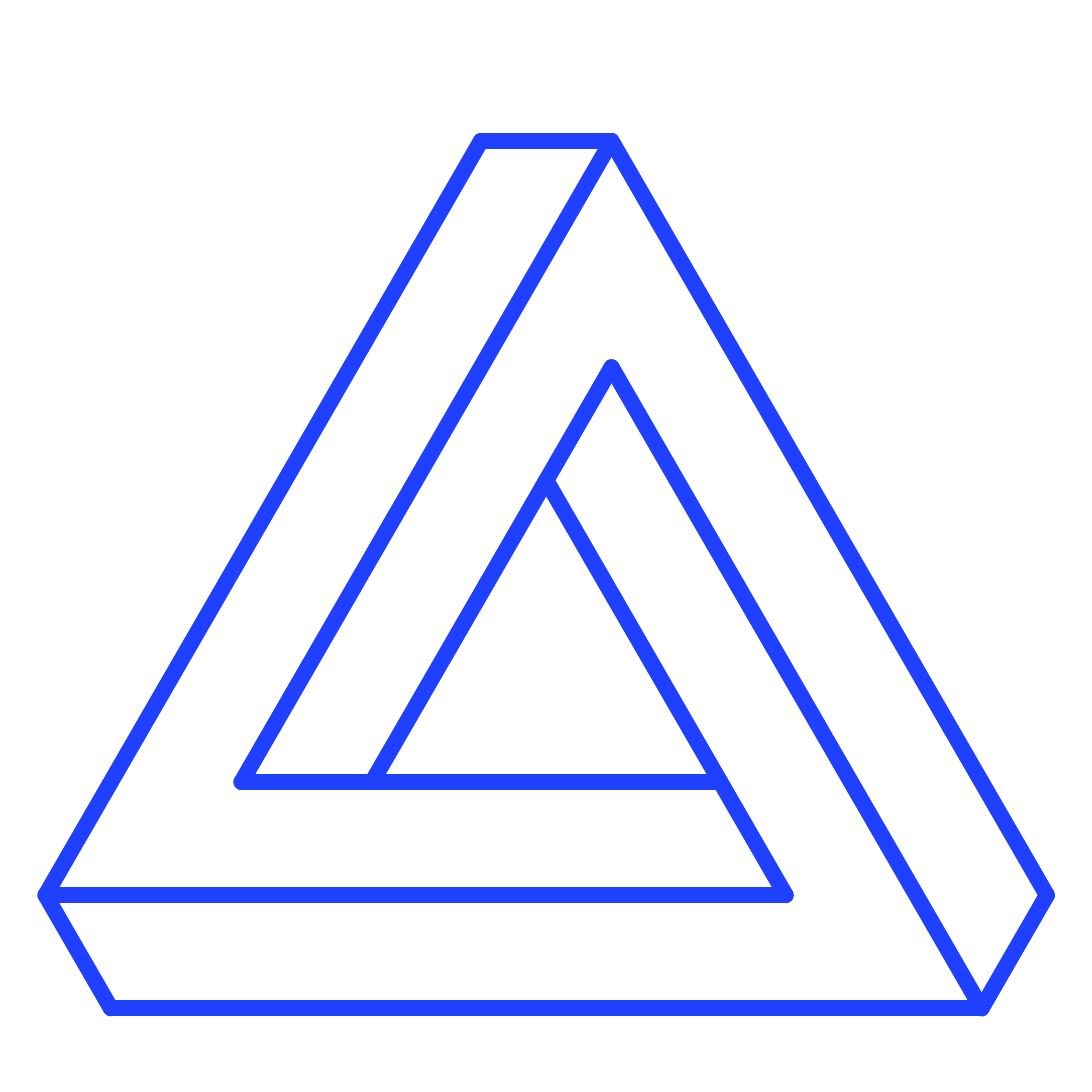
"""Draw an impossible triangle whose corners lie on a triangular lattice."""
from dataclasses import dataclass
from math import sqrt

from lxml.etree import SubElement
from pptx import Presentation
from pptx.dml.color import RGBColor
from pptx.enum.shapes import MSO_CONNECTOR
from pptx.oxml.ns import qn
from pptx.slide import Slide
from pptx.util import Pt

SLIDE_SIZE = 339.84
LATTICE_STEP = 13.55
ORIGIN_X, ORIGIN_Y = 34.5, 313.8
LINE_COLOR = "2040FF"
LINE_WIDTH = 5


@dataclass(frozen=True)
class Corner:
    across: int
    up: int

    @property
    def x(self) -> float:
        return ORIGIN_X + (self.across + self.up / 2) * LATTICE_STEP

    @property
    def y(self) -> float:
        return ORIGIN_Y - self.up * LATTICE_STEP * sqrt(3) / 2


@dataclass(frozen=True)
class Edge:
    start: Corner
    end: Corner


BOTTOM_LEFT, BOTTOM_RIGHT = Corner(0, 0), Corner(20, 0)
LEFT, RIGHT = Corner(-3, 3), Corner(20, 3)
TOP_LEFT, TOP_RIGHT = Corner(-3, 23), Corner(0, 23)
INNER_LEFT, INNER_RIGHT, INNER_TOP = Corner(0, 6), Corner(14, 3), Corner(3, 17)
CORE_LEFT, CORE_RIGHT, CORE_TOP = Corner(3, 6), Corner(11, 6), Corner(3, 14)

EDGES = [
    Edge(INNER_TOP, BOTTOM_RIGHT),
    Edge(LEFT, TOP_LEFT),
    Edge(LEFT, INNER_RIGHT),
    Edge(TOP_RIGHT, RIGHT),
    Edge(INNER_LEFT, TOP_RIGHT),
    Edge(INNER_LEFT, CORE_RIGHT),
    Edge(CORE_LEFT, INNER_TOP),
    Edge(TOP_LEFT, TOP_RIGHT),
    Edge(CORE_TOP, INNER_RIGHT),
    Edge(BOTTOM_LEFT, BOTTOM_RIGHT),
    Edge(BOTTOM_RIGHT, RIGHT),
    Edge(LEFT, BOTTOM_LEFT),
]


def color(hex_value: str) -> RGBColor:
    return RGBColor.from_string(hex_value)


def draw_edge(slide: Slide, edge: Edge) -> None:
    connector = slide.shapes.add_connector(
        MSO_CONNECTOR.STRAIGHT,
        Pt(edge.start.x), Pt(edge.start.y), Pt(edge.end.x), Pt(edge.end.y),
    )
    connector.line.color.rgb = color(LINE_COLOR)
    connector.line.width = Pt(LINE_WIDTH)
    outline = connector.get_or_add_ln()
    outline.set("cap", "rnd")
    SubElement(outline, qn("a:round"))
    SubElement(outline.getparent(), qn("a:effectLst"))


def main() -> None:
    presentation = Presentation()
    presentation.slide_width = presentation.slide_height = Pt(SLIDE_SIZE)
    slide = presentation.slides.add_slide(presentation.slide_layouts[6])
    for edge in EDGES:
        draw_edge(slide, edge)
    presentation.save("out.pptx")


if __name__ == "__main__":
    main()
